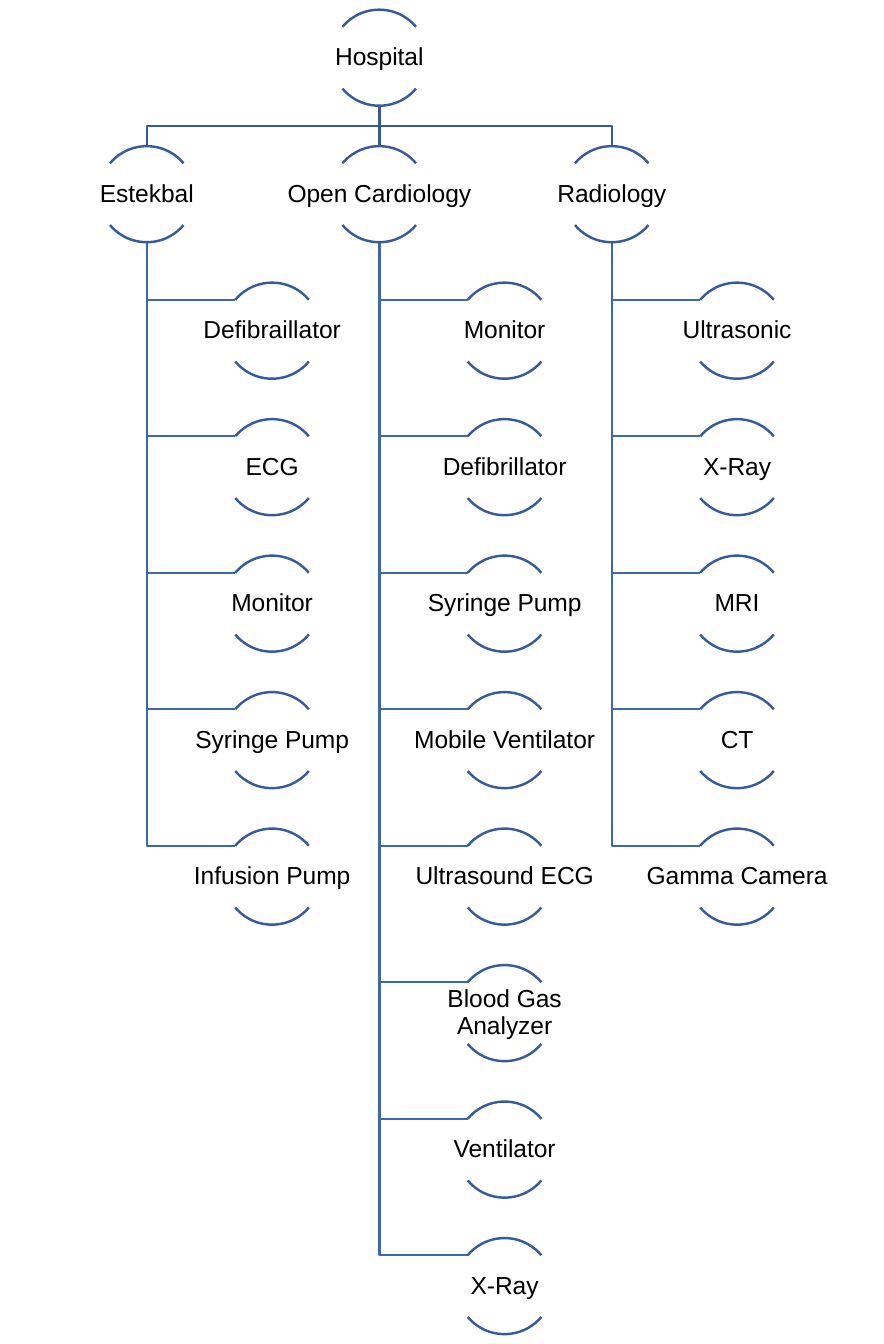
import math

import pptx
import pptx.dml.color
import pptx.enum.shapes
import pptx.enum.text
import pptx.util
from lxml import etree
from pptx.util import Cm, Pt

ROOT = "Hospital"
DEPARTMENTS = {
    "Estekbal": ["Defibraillator", "ECG", "Monitor", "Syringe Pump", "Infusion Pump"],
    "Open Cardiology": ["Monitor", "Defibrillator", "Syringe Pump", "Mobile Ventilator",
                        "Ultrasound ECG", "Blood Gas Analyzer", "Ventilator", "X-Ray"],
    "Radiology": ["Ultrasonic", "X-Ray", "MRI", "CT", "Gamma Camera"],
}

THEME = {
    "font": "Arial",
    "size": Pt(10),
    "text": pptx.dml.color.RGBColor.from_string("000000"),
    "dark": pptx.dml.color.RGBColor.from_string("365B9D"),
    "branch": pptx.dml.color.RGBColor.from_string("3E67B2"),
    "line": Pt(1),
}

# Layout in centimetres
TOP, ROW_PITCH = 0.14, 1.96
FIRST_CENTER, COLUMN_PITCH, CHILD_INDENT = 2.11, 3.34, 1.8
DIAMETER = 1.38
LABEL_WIDTH, LABEL_HEIGHT = 2.76, 0.88
ARC_SPANS = [(220, 320), (40, 140)]  # degrees, clockwise from the right
ARC_END_X = DIAMETER / 2 * math.cos(math.radians(40))
ARC_END_Y = DIAMETER / 2 * (1 - math.sin(math.radians(40)))


def row_top(row):
    return TOP + row * ROW_PITCH


def column_center(column):
    return FIRST_CENTER + column * COLUMN_PITCH


def style_line(shape, color):
    shape.line.color.rgb = color
    shape.line.width = THEME["line"]


def add_path(shapes, points, color):
    """Draw an open, unfilled line through points given in centimetres."""
    start, *others = [(Cm(x), Cm(y)) for x, y in points]
    builder = shapes.build_freeform(*start)
    builder.add_line_segments(others, close=False)
    shape = builder.convert_to_shape()
    shape.fill.background()
    shape.shadow.inherit = False
    style_line(shape, color)


def add_straight_line(shapes, x, top, bottom, color):
    connector = shapes.add_connector(
        pptx.enum.shapes.MSO_CONNECTOR.STRAIGHT, Cm(x), Cm(top), Cm(x), Cm(bottom))
    style_line(connector, color)
    etree.SubElement(connector._element.spPr, pptx.oxml.ns.qn("a:effectLst"))


def add_node(shapes, text, center, top):
    """Draw a label between an upper and a lower arc."""
    for span in ARC_SPANS:
        arc = shapes.add_shape(pptx.enum.shapes.MSO_SHAPE.ARC, Cm(center - DIAMETER / 2),
                               Cm(top), Cm(DIAMETER), Cm(DIAMETER))
        for index, degrees in enumerate(span):
            arc.adjustments[index] = degrees * 0.6  # 60000 units a degree, scaled by 100000
        arc.fill.background()
        arc.shadow.inherit = False
        style_line(arc, THEME["dark"])

    label = shapes.add_textbox(Cm(center - LABEL_WIDTH / 2),
                               Cm(top + (DIAMETER - LABEL_HEIGHT) / 2),
                               Cm(LABEL_WIDTH), Cm(LABEL_HEIGHT))
    frame = label.text_frame
    frame.word_wrap = True
    frame.vertical_anchor = pptx.enum.text.MSO_ANCHOR.MIDDLE
    frame.margin_left = frame.margin_right = Cm(0.02)
    frame.margin_top = frame.margin_bottom = Cm(0.02)
    frame.text = text
    paragraph = frame.paragraphs[0]
    paragraph.alignment = pptx.enum.text.PP_ALIGN.CENTER
    paragraph.line_spacing = 0.9
    paragraph.space_after = Pt(3.5)
    font = paragraph.runs[0].font
    font.name = THEME["font"]
    font.size = THEME["size"]
    font.color.rgb = THEME["text"]


def add_links(shapes, root_center):
    root_bottom, department_top = row_top(0) + DIAMETER, row_top(1)
    bus = (root_bottom + department_top) / 2
    for column, devices in enumerate(DEPARTMENTS.values()):
        center = column_center(column)
        if column == len(DEPARTMENTS) // 2:
            add_straight_line(shapes, center, root_bottom, department_top, THEME["dark"])
        else:
            add_path(shapes, [(root_center, root_bottom), (root_center, bus),
                              (center, bus), (center, department_top)], THEME["dark"])
        for row in range(2, len(devices) + 2):
            y = row_top(row) + ARC_END_Y
            add_path(shapes, [(center, department_top + DIAMETER), (center, y),
                              (center + CHILD_INDENT - ARC_END_X, y)], THEME["branch"])


def main():
    presentation = pptx.Presentation()
    presentation.slide_width = Cm(12.7)
    presentation.slide_height = Cm(19.3)
    slide = presentation.slides.add_slide(presentation.slide_layouts[6])
    shapes = slide.shapes

    root_center = column_center(len(DEPARTMENTS) // 2)
    add_links(shapes, root_center)
    add_node(shapes, ROOT, root_center, row_top(0))
    for column, (department, devices) in enumerate(DEPARTMENTS.items()):
        center = column_center(column)
        add_node(shapes, department, center, row_top(1))
        for row, device in enumerate(devices, start=2):
            add_node(shapes, device, center + CHILD_INDENT, row_top(row))

    presentation.save("out.pptx")


if __name__ == "__main__":
    main()
